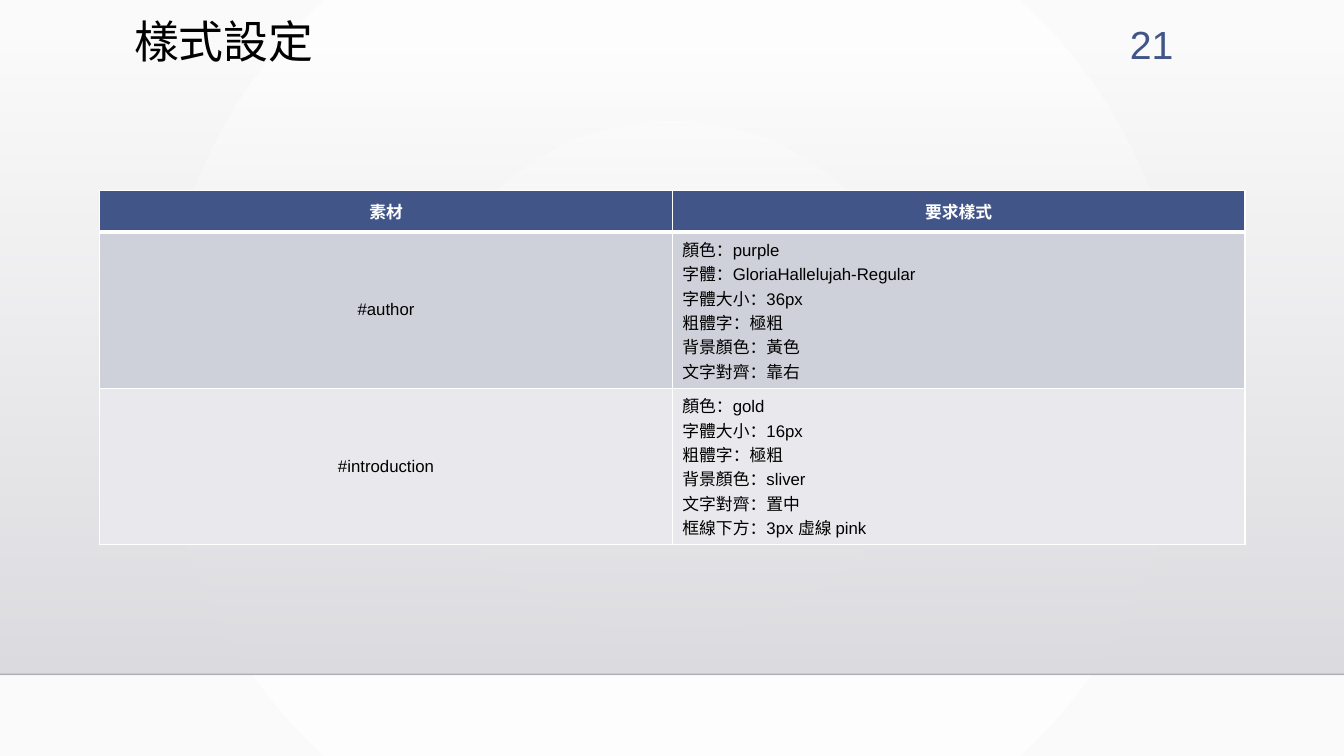
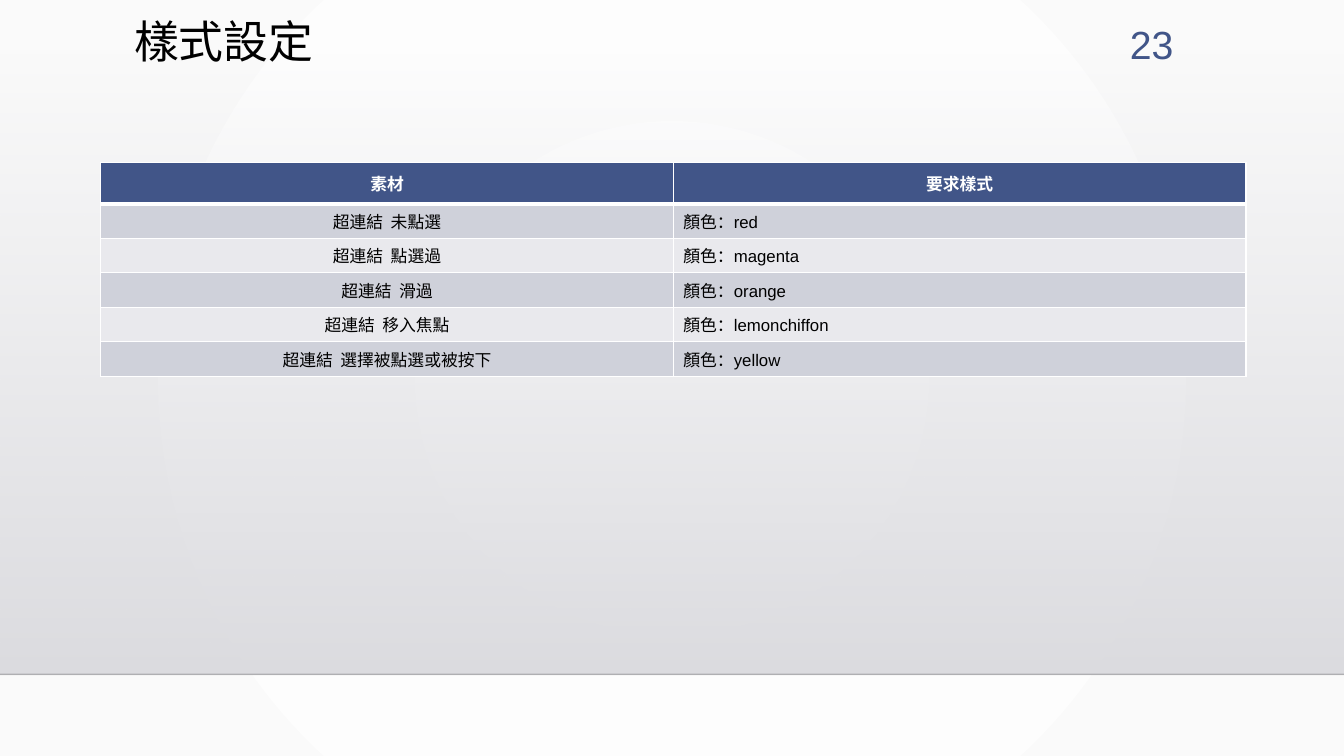
import pptx
import pptx.util
import pptx.dml.color
import pptx.enum.shapes
import pptx.enum.text
import pptx.oxml
import pptx.oxml.ns
import lxml.etree

Pt = pptx.util.Pt
qn = pptx.oxml.ns.qn
ALIGN = pptx.enum.text.PP_ALIGN
ANCHOR = pptx.enum.text.MSO_ANCHOR

WIDTH, HEIGHT = 960, 540
FONT = "Arial"
BLACK, WHITE, NAVY = "000000", "FFFFFF", "415588"
ROW_FILLS = ("CFD1DA", "E9E9ED")
BAND_TOP, BAND_BOTTOM = 36.72, 481.68
COLUMN_WIDTH = 409
HEADER_HEIGHT = 29.5
LINE_HEIGHT, CELL_PADDING = 17.4, 7.2

TITLE = "樣式設定"
HEADINGS = ("素材", "要求樣式")
PAGES = [
    {
        "number": "21",
        "table_at": (71.3, 136.1),
        "rows": [
            ("#author", ["顏色：purple", "字體：GloriaHallelujah-Regular",
                         "字體大小：36px", "粗體字：極粗",
                         "背景顏色：黃色", "文字對齊：靠右"]),
            ("#introduction", ["顏色：gold", "字體大小：16px", "粗體字：極粗",
                               "背景顏色：sliver", "文字對齊：置中",
                               "框線下方：3px 虛線 pink"]),
        ],
    },
    {
        "number": "23",
        "table_at": (72, 116.1),
        "rows": [
            ("超連結  未點選", ["顏色：red"]),
            ("超連結  點選過", ["顏色：magenta"]),
            ("超連結  滑過", ["顏色：orange"]),
            ("超連結  移入焦點", ["顏色：lemonchiffon"]),
            ("超連結  選擇被點選或被按下", ["顏色：yellow"]),
        ],
    },
]


def color(value):
    return pptx.dml.color.RGBColor.from_string(value)


def write(frame, lines, size, ink, align=ALIGN.LEFT, bold=False, spacing=None):
    for index, line in enumerate(lines):
        para = frame.paragraphs[0] if index == 0 else frame.add_paragraph()
        para.alignment = align
        para.line_spacing = spacing
        span = para.add_run()
        span.text = line
        span.font.name = FONT
        span.font.size = Pt(size)
        span.font.bold = bold
        span.font.color.rgb = color(ink)


def set_alpha(srgb, percent):
    lxml.etree.SubElement(srgb, qn("a:alpha")).set("val", str(percent * 1000))


def set_gradient(fill, first, last):
    fill.gradient()
    for stop, value, position in zip(fill.gradient_stops, (first, last), (0, 1)):
        stop.color.rgb = color(value)
        stop.color.brightness = 0
        stop.position = position


def paint_background(master):
    fill = master.background.fill
    set_gradient(fill, WHITE, "FAFAFA")
    gradient = next(master.element.iter(qn("a:gradFill")))
    for linear in gradient.findall(qn("a:lin")):
        gradient.remove(linear)
    circle = lxml.etree.SubElement(gradient, qn("a:path"))
    circle.set("path", "circle")
    center = lxml.etree.SubElement(circle, qn("a:fillToRect"))
    for side in "ltrb":
        center.set(side, "50000")


def add_band(page):
    band = page.shapes.add_shape(
        pptx.enum.shapes.MSO_SHAPE.RECTANGLE,
        0, Pt(BAND_TOP), Pt(WIDTH), Pt(BAND_BOTTOM - BAND_TOP))
    band.shadow.inherit = False
    band.line.fill.background()
    set_gradient(band.fill, "DCDCE0", "DEDEE2")
    band.fill.gradient_angle = 270
    set_alpha(next(band.element.iter(qn("a:srgbClr"))), 0)

    rule = page.shapes.add_connector(
        pptx.enum.shapes.MSO_CONNECTOR.STRAIGHT,
        0, Pt(BAND_BOTTOM), Pt(WIDTH), Pt(BAND_BOTTOM))
    rule.line.width = Pt(1)
    rule.line.color.rgb = color("000001")
    set_alpha(next(rule.element.iter(qn("a:srgbClr"))), 20)
    lxml.etree.SubElement(rule.element.spPr, qn("a:effectLst"))


def add_title(page):
    title = page.shapes.title
    title.left, title.top, title.width, title.height = map(Pt, (88.6, 10.8, 756, 82.8))
    title.text_frame.vertical_anchor = ANCHOR.TOP
    write(title.text_frame, [TITLE], 32, BLACK, spacing=0.9)
    title.element.getparent().append(title.element)


def add_page_number(page, number):
    box = page.shapes.add_textbox(*map(Pt, (781.2, 10.8, 64, 39.6)))
    box.text_frame.word_wrap = True
    write(box.text_frame, [number], 28, NAVY, ALIGN.RIGHT)


def set_borders(cell, top, bottom):
    properties = cell._tc.get_or_add_tcPr()
    for side, width in (("L", 1), ("R", 1), ("T", top), ("B", bottom)):
        edge = lxml.etree.SubElement(properties, qn("a:ln" + side))
        edge.set("w", str(Pt(width)))
        solid = lxml.etree.SubElement(edge, qn("a:solidFill"))
        lxml.etree.SubElement(solid, qn("a:srgbClr")).set("val", WHITE)


def fill_cell(cell, lines, fill, ink, align, bold, top, bottom):
    set_borders(cell, top, bottom)
    cell.fill.solid()
    cell.fill.fore_color.rgb = color(fill)
    cell.vertical_anchor = ANCHOR.MIDDLE if align == ALIGN.CENTER else ANCHOR.TOP
    write(cell.text_frame, lines, 12, ink, align, bold)


def add_style_table(page, position, rows):
    heights = [HEADER_HEIGHT] + [
        len(styles) * LINE_HEIGHT + CELL_PADDING for _, styles in rows]
    left, top = position
    table = page.shapes.add_table(
        len(heights), len(HEADINGS), Pt(left), Pt(top),
        Pt(COLUMN_WIDTH * len(HEADINGS)), Pt(sum(heights))).table
    for column in table.columns:
        column.width = Pt(COLUMN_WIDTH)
    for row, height in zip(table.rows, heights):
        row.height = Pt(height)
    for column, heading in enumerate(HEADINGS):
        fill_cell(table.cell(0, column), [heading], NAVY, WHITE, ALIGN.CENTER, True, 1, 3)
    for index, (material, styles) in enumerate(rows):
        fill = ROW_FILLS[index % 2]
        top_width = 3 if index == 0 else 1
        for column, lines, align in ((0, [material], ALIGN.CENTER), (1, styles, ALIGN.LEFT)):
            fill_cell(table.cell(index + 1, column), lines, fill, BLACK, align, False,
                      top_width, 1)


def main():
    deck = pptx.Presentation()
    deck.slide_width, deck.slide_height = Pt(WIDTH), Pt(HEIGHT)
    paint_background(deck.slide_master)
    for content in PAGES:
        page = deck.slides.add_slide(deck.slide_layouts[5])
        add_band(page)
        add_title(page)
        add_style_table(page, content["table_at"], content["rows"])
        add_page_number(page, content["number"])
    deck.save("out.pptx")


if __name__ == "__main__":
    main()
